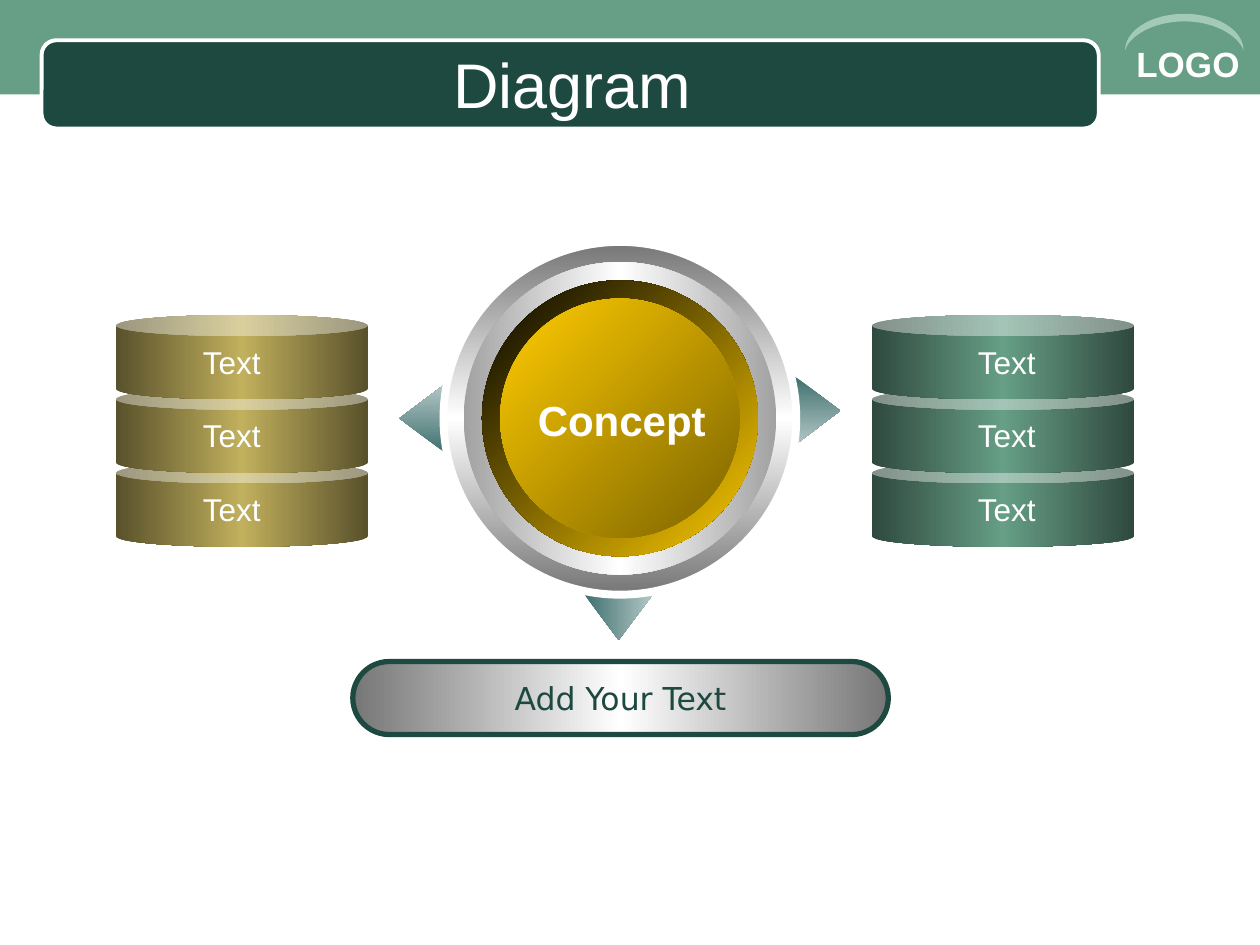
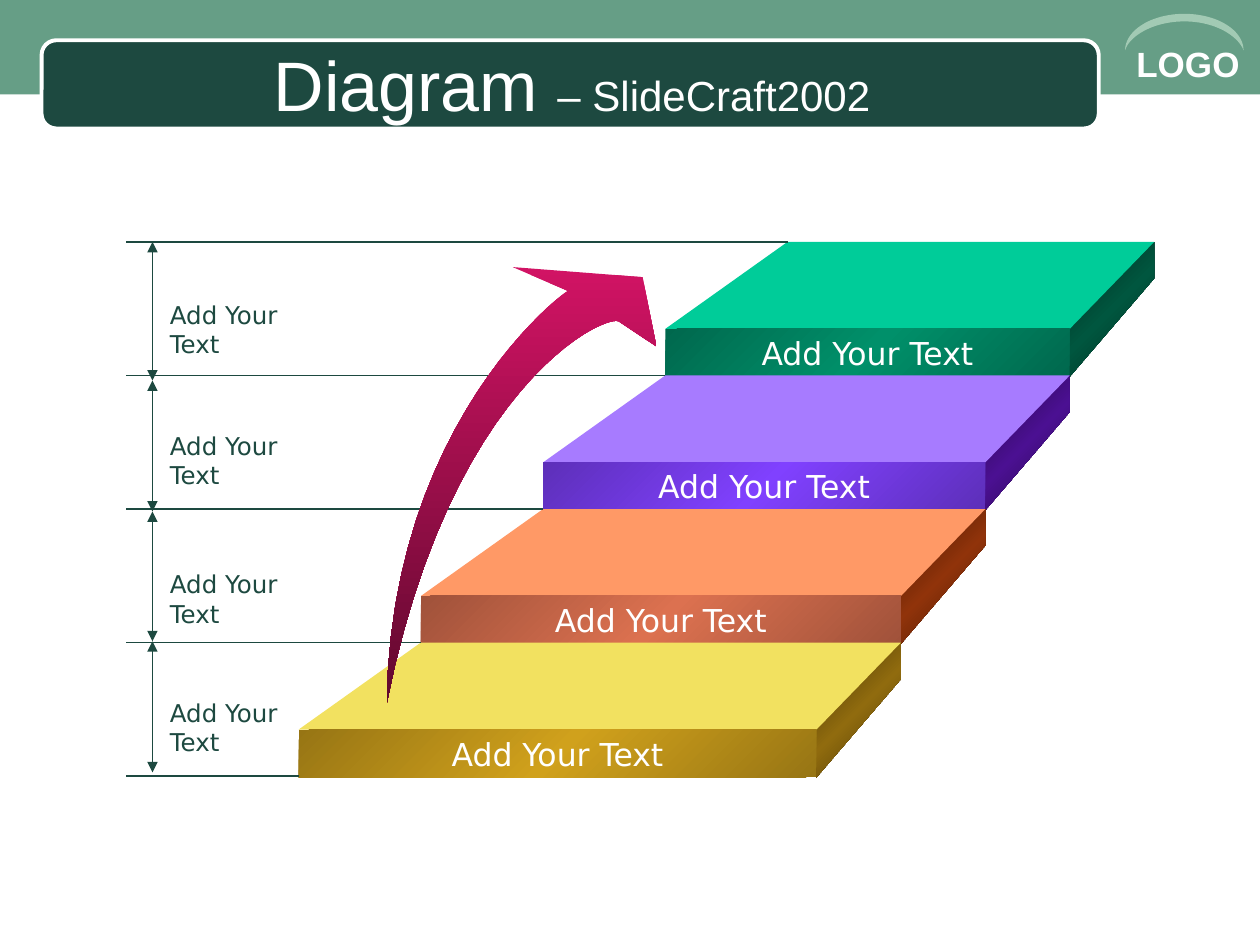
from pptx import Presentation
from pptx.dml.color import RGBColor
from pptx.enum.shapes import MSO_CONNECTOR, MSO_SHAPE
from pptx.enum.text import MSO_ANCHOR, PP_ALIGN
from pptx.oxml import parse_xml
from pptx.oxml.ns import nsdecls
from pptx.util import Inches, Pt

RECT, ROUNDED, OVAL, CAN = (MSO_SHAPE.RECTANGLE, MSO_SHAPE.ROUNDED_RECTANGLE,
                            MSO_SHAPE.OVAL, MSO_SHAPE.CAN)
LEFT_ARROW, RIGHT_ARROW, DOWN_ARROW = (MSO_SHAPE.LEFT_ARROW, MSO_SHAPE.RIGHT_ARROW,
                                       MSO_SHAPE.DOWN_ARROW)
CENTER, LEFT = PP_ALIGN.CENTER, PP_ALIGN.LEFT
MIDDLE, TOP = MSO_ANCHOR.MIDDLE, MSO_ANCHOR.TOP
STRAIGHT = MSO_CONNECTOR.STRAIGHT

SANS, BODY = "Arial", "DejaVu Sans"
COLORS = {
    "band": "669E86", "dark": "1D4940", "white": "FFFFFF", "swoosh": "A2CAB4",
    "grey": "767676", "silver": "A2A2A2", "black": "000000",
    "gold": "FFCC00", "deep gold": "7C6300",
    "teal": "3F716F", "mist": "B4C7C7",
    "khaki": "C1B05D", "deep khaki": "59512B", "deep green": "2F493E",
    "crimson": "D11364", "maroon": "61092E",
    "mint top": "00CC99", "mint": "00906A", "mint edge": "00684D",
    "mint side": "00563F", "mint shade": "00281D",
    "violet top": "A77BFF", "violet": "8041FF", "violet edge": "5D2FB9",
    "violet side": "4B1092", "violet shade": "230744",
    "orange top": "FF9966", "orange": "DC7150", "orange edge": "A0523A",
    "orange side": "90330A", "orange shade": "431805",
    "yellow top": "F2E160", "yellow": "D0A11C", "yellow edge": "977514",
    "yellow side": "906B0E", "yellow shade": "433206",
}

# Slide 1 content: title runs as (text, size)
CONCEPT_TITLE = [("Diagram", 36)]
CONCEPT = "Concept"
CAPTION = "Add Your Text"
STACKS = [  # left, width, label left, edge colour, middle colour, labels
    (0.92, 2.0, 1.5, "deep khaki", "khaki", ["Text", "Text", "Text"]),
    (6.92, 2.08, 7.65, "deep green", "band", ["Text", "Text", "Text"]),
]
STACK_TOP, DISC_PITCH, DISC_HEIGHT = 2.5, 0.585, 0.67
POINTERS = [  # shape, box, gradient angle
    (LEFT_ARROW, (3.17, 3.05, 0.36, 0.54), 270),
    (RIGHT_ARROW, (6.31, 2.99, 0.36, 0.54), 90),
    (DOWN_ARROW, (4.64, 4.72, 0.54, 0.36), 0),
]
RING_CENTER = (4.92, 3.32)
RINGS = [  # diameter, gradient colours, angle
    (2.8, ("grey", "white", "grey"), 90),
    (2.48, ("silver", "white", "silver"), 0),
    (2.19, ("black", "gold"), 45),
    (1.9, ("gold", "deep gold"), 45),
]

# Slide 2 content
STEPS_TITLE = [("Diagram ", 40), ("– SlideCraft2002", 24)]
STEPS = [  # colour family, front text, side label, label top
    ("mint", "Add Your Text", "Add Your Text", 2.33),
    ("violet", "Add Your Text", "Add Your Text", 3.37),
    ("orange", "Add Your Text", "Add Your Text", 4.47),
    ("yellow", "Add Your Text", "Add Your Text", 5.49),
]
STEP_TOP, STEP_RISE = 1.92, 1.06
FRONT_LEFT, LEFT_SHIFT = 5.28, 0.97
FRONT_RIGHT, RIGHT_SHIFT = 8.49, 0.67
TREAD, FRONT, SIDE_BACK = 0.69, 0.38, 0.29
RULER_LEFT, RULER_X = 1.0, 1.21
RULER_STOPS = [1.92, 3.02, 4.06, 5.09, 6.13]


def rgb(name):
    return RGBColor.from_string(COLORS[name])


def paint(shape, fill, angle=0, line=None, weight=1):
    """Fill with one colour name, or with a gradient from a tuple of names."""
    shape.shadow.inherit = False
    if isinstance(fill, str):
        shape.fill.solid()
        shape.fill.fore_color.rgb = rgb(fill)
    else:
        stops = "".join(
            f'<a:gs pos="{100000 * i // (len(fill) - 1)}"><a:srgbClr val="{COLORS[name]}"/></a:gs>'
            for i, name in enumerate(fill))
        shape._element.spPr.insert(2, parse_xml(
            f'<a:gradFill {nsdecls("a")} rotWithShape="1"><a:gsLst>{stops}</a:gsLst>'
            f'<a:lin ang="{angle * 60000}" scaled="0"/></a:gradFill>'))
    if line:
        shape.line.color.rgb = rgb(line)
        shape.line.width = Pt(weight)
    else:
        shape.line.fill.background()
    return shape


def add_preset(slide, kind, box, fill, angle=0, line=None, weight=1, adjust=()):
    shape = slide.shapes.add_shape(kind, *map(Inches, box))
    for i, value in enumerate(adjust):
        shape.adjustments[i] = value
    return paint(shape, fill, angle, line, weight)


def add_outline(slide, points, fill, angle=0):
    start, *rest = [(Inches(x), Inches(y)) for x, y in points]
    builder = slide.shapes.build_freeform(*start, scale=1.0)
    builder.add_line_segments(rest, close=True)
    return paint(builder.convert_to_shape(), fill, angle)


def curve(a, b, c, d, steps=24):
    """Points of a cubic curve from a to d with control points b and c."""
    ts = [i / steps for i in range(steps + 1)]
    return [tuple((1 - t) ** 3 * p + 3 * (1 - t) ** 2 * t * q + 3 * (1 - t) * t * t * r + t ** 3 * s
                  for p, q, r, s in zip(a, b, c, d)) for t in ts]


def write(shape, runs, font, color, align=CENTER, anchor=MIDDLE, bold=False, wrap=False):
    frame = shape.text_frame
    frame.word_wrap, frame.vertical_anchor = wrap, anchor
    paragraph = frame.paragraphs[0]
    paragraph.alignment = align
    paragraph.font.name, paragraph.font.bold = font, bold
    paragraph.font.color.rgb = rgb(color)
    paragraph.font.size = Pt(runs[0][1])
    for text, size in runs:
        run = paragraph.add_run()
        run.text = text
        if size != runs[0][1]:
            run.font.size = Pt(size)


def add_text(slide, box, runs, font, color, **style):
    write(slide.shapes.add_textbox(*map(Inches, box)), runs, font, color, **style)


def add_rule(slide, start, end, arrows=False):
    rule = slide.shapes.add_connector(STRAIGHT, *map(Inches, start + end))
    rule.line.color.rgb = rgb("dark")
    rule.line.width = Pt(0.75)
    if arrows:
        for tag in ("headEnd", "tailEnd"):
            rule.line._get_or_add_ln().append(
                parse_xml(f'<a:{tag} {nsdecls("a")} type="triangle"/>'))
    rule._element.spPr.append(parse_xml(f'<a:effectLst {nsdecls("a")}/>'))


def new_slide(deck, title):
    """Blank slide with the shared band, title plate and corner mark."""
    slide = deck.slides.add_slide(deck.slide_layouts[6])
    add_preset(slide, RECT, (0, 0, 10, 0.75), "band")
    add_preset(slide, ROUNDED, (0.33, 0.32, 8.39, 0.7), "dark",
               line="white", weight=2.25, adjust=[0.167])
    add_text(slide, (8.92, 0.29, 1.08, 0.44), [("LOGO", 20)], SANS, "white",
             align=LEFT, anchor=TOP, bold=True, wrap=True)
    right, left = (9.87, 0.4), (8.93, 0.4)
    add_outline(slide, curve(right, (9.83, 0.29), (9.65, 0.17), (9.4, 0.17))
                + curve((9.4, 0.17), (9.15, 0.17), (8.96, 0.29), left)
                + curve(left, (8.93, 0.24), (9.14, 0.11), (9.4, 0.11))
                + curve((9.4, 0.11), (9.66, 0.11), (9.87, 0.24), right), "swoosh")
    add_text(slide, (0.5, 0.35, 8.08, 0.62), title, SANS, "white", wrap=True)
    return slide


def build_concept(deck):
    slide = new_slide(deck, CONCEPT_TITLE)

    # Pointers and concentric rings
    for kind, box, angle in POINTERS:
        add_preset(slide, kind, box, ("teal", "mist"), angle, adjust=[0.517, 1])
    for i, (size, fill, angle) in enumerate(RINGS):
        box = [c - size / 2 for c in RING_CENTER] + [size, size]
        add_preset(slide, OVAL, box, fill, angle, line=None if i else "white", weight=4.5)

    # Stacks, lowest disc first so that each one above overlaps it
    for left, width, label_left, edge, middle, labels in STACKS:
        tops = [STACK_TOP + DISC_PITCH * i for i in range(len(labels))]
        for top in reversed(tops):
            add_preset(slide, CAN, (left, top, width, DISC_HEIGHT),
                       (edge, middle, edge), adjust=[0.25])
        for top, label in zip(tops, labels):
            add_text(slide, (label_left, top + 0.17, 0.68, 0.4), [(label, 18)],
                     SANS, "white", anchor=TOP)

    # Centre word and caption
    add_text(slide, (4.17, 3.08, 1.53, 0.5), [(CONCEPT, 24)], SANS, "white",
             anchor=TOP, bold=True)
    caption = add_preset(slide, ROUNDED, (2.8, 5.25, 4.25, 0.58), ("grey", "white", "grey"),
                         line="dark", weight=3, adjust=[0.5])
    write(caption, [(CAPTION, 18)], BODY, "dark")


def build_steps(deck):
    slide = new_slide(deck, STEPS_TITLE)

    # Stairs: side, tread and front of each step
    for i, (hue, text, _, _) in enumerate(STEPS):
        back = STEP_TOP + STEP_RISE * i
        edge, foot = back + TREAD, back + TREAD + FRONT
        left, right = FRONT_LEFT - LEFT_SHIFT * i, FRONT_RIGHT - RIGHT_SHIFT * i
        back_left, back_right = left + LEFT_SHIFT, right + RIGHT_SHIFT
        shade, side, rim = f"{hue} shade", f"{hue} side", f"{hue} edge"
        add_outline(slide, [(back_right, back + SIDE_BACK), (right, foot), (right, edge),
                            (back_right, back)], (shade, side, shade), 45)
        add_outline(slide, [(right, edge), (left, edge), (back_left, back),
                            (back_right, back)], f"{hue} top")
        front = add_preset(slide, RECT, (left, edge, right - left, FRONT), (rim, hue, rim), 45)
        write(front, [(text, 18)], BODY, "white")

    # Level lines, height arrows and side labels
    for i in range(len(STEPS) + 1):
        y = STEP_TOP + STEP_RISE * i
        add_rule(slide, (FRONT_LEFT - LEFT_SHIFT * (i - 1), y), (RULER_LEFT, y))
    for start, end in zip(RULER_STOPS, RULER_STOPS[1:]):
        add_rule(slide, (RULER_X, start), (RULER_X, end), arrows=True)
    for _, _, label, top in STEPS:
        add_text(slide, (1.25, top, 1.4, 0.57), [(label, 14)], BODY, "dark",
                 align=LEFT, anchor=TOP, wrap=True)

    # Rising arrow
    tail = (3.07, 5.58)
    add_outline(slide, curve(tail, (3.1, 3.35), (4.48, 2.31), (4.51, 2.31))
                + [(4.07, 2.12), (5.1, 2.2), (5.21, 2.75)]
                + curve((4.91, 2.55), (4.78, 2.5), (3.57, 3.08), tail),
                ("crimson", "maroon"), 90)


def main():
    deck = Presentation()
    deck.slide_width, deck.slide_height = Inches(10), Inches(7.5)
    build_concept(deck)
    build_steps(deck)
    deck.save("out.pptx")


if __name__ == "__main__":
    main()
